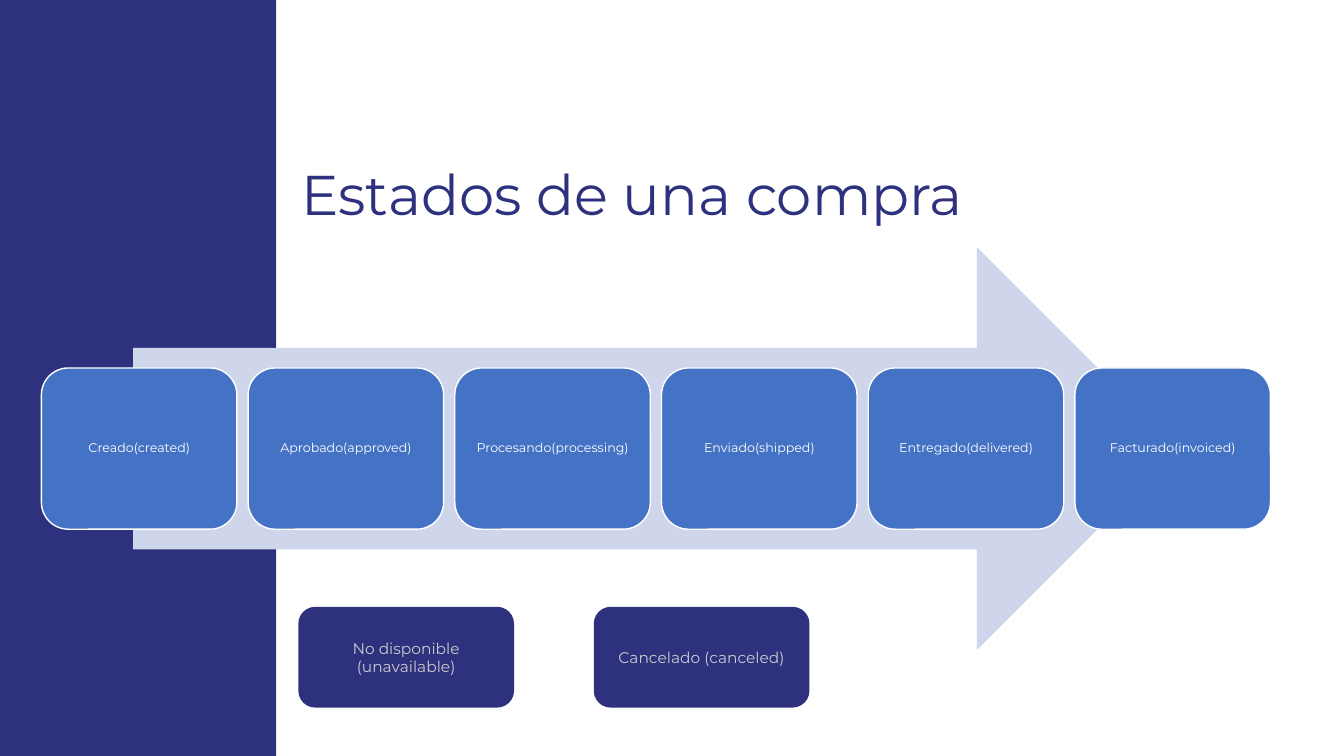
"""Build the slide that shows the states of a purchase."""
import pptx
import pptx.dml.color
import pptx.enum.shapes
import pptx.enum.text
import pptx.util

WIDE, HIGH = pptx.util.Inches(13.333), pptx.util.Inches(7.5)
NAVY, BLUE, PALE, WHITE, GREY = "2D317E", "4472C4", "CFD5EA", "FFFFFF", "CCCCCC"
FORMS = pptx.enum.shapes.MSO_SHAPE
ALIGN = pptx.enum.text.PP_ALIGN
ANCHOR = pptx.enum.text.MSO_ANCHOR
STEPS = [
    "Creado(created)",
    "Aprobado(approved)",
    "Procesando(processing)",
    "Enviado(shipped)",
    "Entregado(delivered)",
    "Facturado(invoiced)",
]
EXITS = ["No disponible (unavailable)", "Cancelado (canceled)"]


def hue(code):
    """Turn a hex string into a colour."""
    return pptx.dml.color.RGBColor.from_string(code)


def place(left, top, width, height):
    """Turn percent shares of the slide into lengths."""
    return [int(share * full / 100) for share, full in
            zip((left, top, width, height), (WIDE, HIGH, WIDE, HIGH))]


def write(shape, text, size, color, align=ALIGN.CENTER, anchor=ANCHOR.MIDDLE,
          space=1.0, inset=0.1):
    """Put formatted text into a shape."""
    frame = shape.text_frame
    frame.text = text
    frame.word_wrap = True
    frame.auto_size = pptx.enum.text.MSO_AUTO_SIZE.NONE
    frame.vertical_anchor = anchor
    frame.margin_left = frame.margin_right = pptx.util.Inches(inset)
    frame.margin_top = frame.margin_bottom = pptx.util.Inches(0.05)
    para = frame.paragraphs[0]
    para.alignment = align
    para.line_spacing = space
    font = para.runs[0].font
    font.name = "Montserrat"
    font.size = pptx.util.Pt(size)
    font.color.rgb = hue(color)


def block(slide, form, box, fill, line=None):
    """Add a flat filled shape."""
    shape = slide.shapes.add_shape(form, *place(*box))
    shape.shadow.inherit = False
    shape.fill.solid()
    shape.fill.fore_color.rgb = hue(fill)
    if line:
        shape.line.color.rgb = hue(line)
        shape.line.width = pptx.util.Pt(1)
    else:
        shape.line.fill.background()
    return shape


def row(slide, names, box, pitch, fill, line=None, **style):
    """Add evenly spaced rounded boxes with labels."""
    left, top, width, height = box
    for rank, name in enumerate(names):
        spot = (left + rank * pitch, top, width, height)
        shape = block(slide, FORMS.ROUNDED_RECTANGLE, spot, fill, line)
        write(shape, name, **style)


def head(slide, text, box):
    """Place and fill the title."""
    title = slide.shapes.title
    title.left, title.top, title.width, title.height = place(*box)
    write(title, text, 40, NAVY, align=ALIGN.LEFT, anchor=ANCHOR.TOP, space=0.9)


def main():
    """Build and save the slide."""
    deck = pptx.Presentation()
    deck.slide_width, deck.slide_height = WIDE, HIGH
    slide = deck.slides.add_slide(deck.slide_layouts[5])
    block(slide, FORMS.RECTANGLE, (0, 0, 20.55, 100), NAVY)
    head(slide, "Estados de una compra", (21.68, 21.47, 74.4, 16.93))
    block(slide, FORMS.RIGHT_ARROW, (9.9, 32.67, 77.78, 53.33), PALE)
    row(slide, STEPS, (3.08, 48.67, 14.55, 21.33), 15.38, BLUE, WHITE,
        size=9, color=WHITE, space=0.9, inset=0.04)
    row(slide, EXITS, (22.2, 80.27, 16.05, 13.33), 21.98, NAVY,
        size=11, color=GREY)
    deck.save("out.pptx")


if __name__ == "__main__":
    main()
